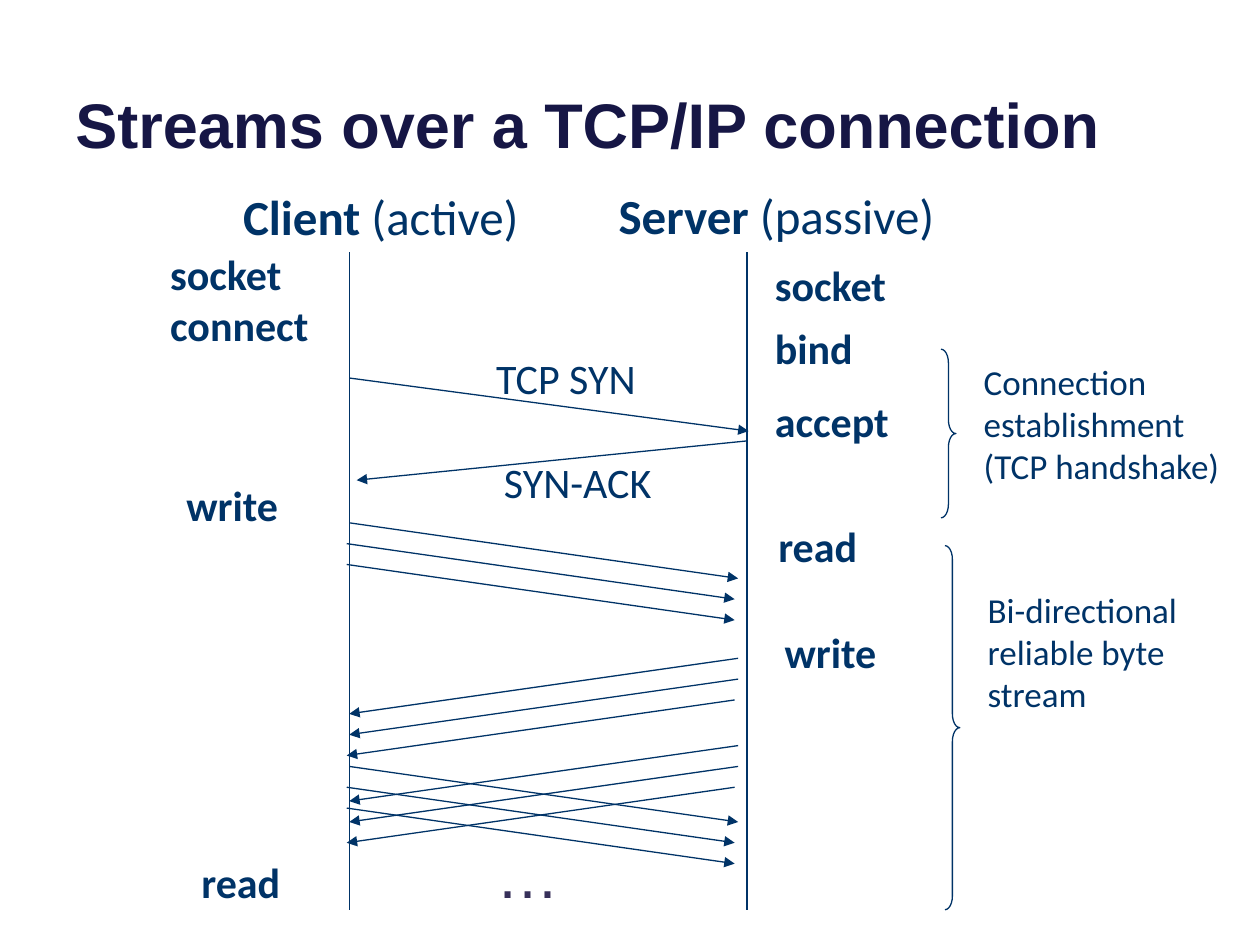
from dataclasses import dataclass

from lxml.etree import SubElement
from pptx import Presentation
from pptx.dml.color import RGBColor
from pptx.enum.shapes import MSO_CONNECTOR, MSO_SHAPE
from pptx.enum.text import MSO_ANCHOR, MSO_AUTO_SIZE
from pptx.oxml.ns import qn
from pptx.slide import Slide
from pptx.util import Cm, Pt

NAVY = RGBColor(0x00, 0x33, 0x67)
INDIGO = RGBColor(0x16, 0x16, 0x45)
PLUM = RGBColor(0x37, 0x30, 0x5A)

CLIENT_X, SERVER_X = 7.04, 15.06
CLIENT_CALLS = [
    ("socket", 3.18, 4.88),
    ("connect", 3.18, 5.92),
    ("write", 3.51, 9.55),
    ("read", 3.81, 17.15),
]
SERVER_CALLS = [
    ("socket", 15.37, 5.11),
    ("bind", 15.37, 6.38),
    ("accept", 15.37, 7.85),
    ("read", 15.44, 10.36),
    ("write", 15.57, 12.5),
]
SEGMENT_GAP, SEGMENT_DROP = 0.42, 1.12
CLIENT_SEGMENTS = [(7.04, 14.88), (6.99, 14.81), (6.99, 14.81)]
SERVER_SEGMENTS = [(14.88, 7.04), (14.88, 7.04), (14.81, 6.99)]
BURSTS = [
    (CLIENT_SEGMENTS, 10.54),
    (SERVER_SEGMENTS, 13.27),
    (CLIENT_SEGMENTS, 15.45),
    (SERVER_SEGMENTS, 15.03),
]


@dataclass
class SequenceDiagram:
    slide: Slide
    font: str = "Calibri"
    color: RGBColor = NAVY
    line_width: float = 0.75

    def text(self, runs, left, top, width, height, size, color=None, font=None,
             wrap=True, anchor=MSO_ANCHOR.TOP, grow=True):
        box = self.slide.shapes.add_textbox(Cm(left), Cm(top), Cm(width), Cm(height))
        frame = box.text_frame
        frame.word_wrap = wrap
        frame.vertical_anchor = anchor
        frame.auto_size = MSO_AUTO_SIZE.SHAPE_TO_FIT_TEXT if grow else MSO_AUTO_SIZE.NONE
        for content, bold in runs:
            run = frame.paragraphs[0].add_run()
            run.text = content
            run.font.name = font or self.font
            run.font.size = Pt(size)
            run.font.bold = bold
            run.font.color.rgb = color or self.color

    def call(self, name, left, top):
        self.text([(name, True)], left, top, 4.32, 1.27, 24)

    def line(self, x1, y1, x2, y2, arrow=False):
        connector = self.slide.shapes.add_connector(
            MSO_CONNECTOR.STRAIGHT, Cm(x1), Cm(y1), Cm(x2), Cm(y2))
        connector.line.color.rgb = self.color
        connector.line.width = Pt(self.line_width)
        if arrow:
            SubElement(connector.line._get_or_add_ln(), qn("a:tailEnd"), type="triangle")
        SubElement(connector._element.spPr, qn("a:effectLst"))

    def burst(self, segments, top):
        for index, (start, end) in enumerate(segments):
            y = top + index * SEGMENT_GAP
            self.line(start, y, end, y + SEGMENT_DROP, arrow=True)

    def brace(self, left, top, height):
        shape = self.slide.shapes.add_shape(
            MSO_SHAPE.RIGHT_BRACE, Cm(left), Cm(top), Cm(0.3), Cm(height))
        shape.adjustments[0] = 0.92
        shape.shadow.inherit = False
        shape.fill.background()
        shape.line.color.rgb = self.color
        shape.line.width = Pt(self.line_width)


def main():
    presentation = Presentation()
    presentation.slide_width, presentation.slide_height = Cm(25.4), Cm(19.05)
    diagram = SequenceDiagram(presentation.slides.add_slide(presentation.slide_layouts[6]))

    diagram.text([("Streams over a TCP/IP connection", True)], 1.27, -0.94, 22.86, 4.32,
                 36, INDIGO, "Arial", anchor=MSO_ANCHOR.BOTTOM, grow=False)

    for lifeline_x in (CLIENT_X, SERVER_X):
        diagram.line(lifeline_x, 5.08, lifeline_x, 18.34)
    diagram.text([("Client ", True), ("(active)", False)], 4.65, 3.63, 6.27, 1.45, 28)
    diagram.text([("Server ", True), ("(passive)", False)], 12.22, 3.61, 6.91, 1.45, 28)
    for name, left, top in CLIENT_CALLS + SERVER_CALLS:
        diagram.call(name, left, top)

    diagram.line(CLIENT_X, 7.62, 15.09, 8.69, arrow=True)
    diagram.line(15.04, 8.89, 7.19, 9.68, arrow=True)
    diagram.text([("TCP SYN", False)], 9.75, 6.99, 6.55, 1.27, 24)
    diagram.text([("SYN-ACK", False)], 9.91, 9.07, 6.55, 1.27, 24)

    for segments, top in BURSTS:
        diagram.burst(segments, top)
    diagram.text([("…", False)], 9.75, 16.71, 1.8, 1.8, 36, PLUM, "Arial", wrap=False)

    diagram.brace(18.97, 7.04, 3.4)
    diagram.text([("Connection establishment (TCP handshake)", False)],
                 19.58, 7.14, 5.38, 2.82, 20)
    diagram.brace(19.05, 11, 7.34)
    diagram.text([("Bi-directional reliable byte stream", False)],
                 19.66, 11.73, 4.88, 2.82, 20)

    presentation.save("out.pptx")


if __name__ == "__main__":
    main()
